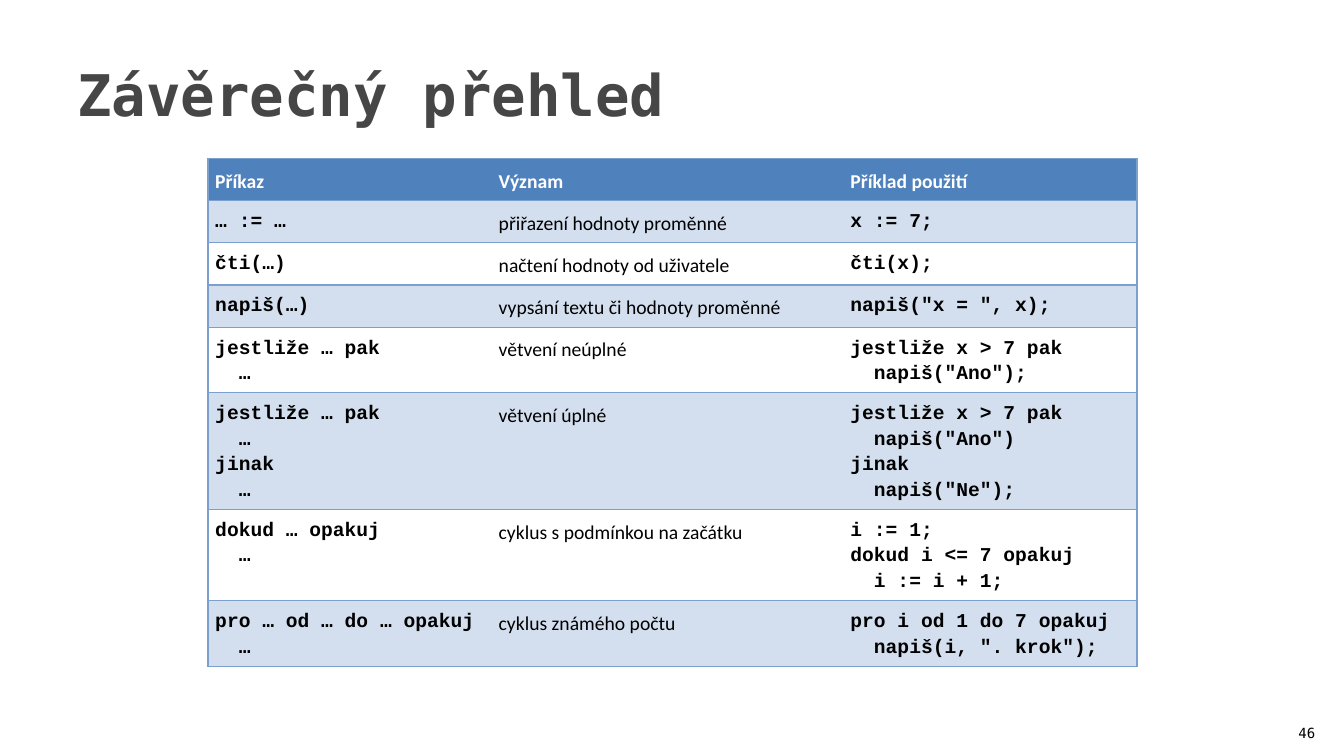
from pptx import Presentation
from pptx.dml.color import RGBColor
from pptx.enum.text import MSO_ANCHOR, PP_ALIGN
from pptx.oxml.ns import qn
from pptx.util import Pt
from lxml.etree import SubElement

PX = 9525  # EMU per px, 96 px to the inch
COLORS = {
    "title": "464646",
    "text": "000000",
    "header_text": "FFFFFF",
    "header_fill": "4F81BD",
    "band": "D3DFEE",
    "rule": "7BA0CD",
}
MONO, CODE, BODY = "DejaVu Sans Mono", "Courier New", "Calibri"

COLUMN_WIDTHS = [270, 335, 280]
CELL_MARGIN = 7
HEADER = ("Příkaz", "Význam", "Příklad použití")
# Row height, command, meaning, example
COMMANDS = [
    (40, "… := …", "přiřazení hodnoty proměnné", "x := 7;"),
    (40, "čti(…)", "načtení hodnoty od uživatele", "čti(x);"),
    (40, "napiš(…)", "vypsání textu či hodnoty proměnné", 'napiš("x = ", x);'),
    (62, "jestliže … pak\n  …", "větvení neúplné",
     'jestliže x > 7 pak\n  napiš("Ano");'),
    (110, "jestliže … pak\n  …\njinak\n  …", "větvení úplné",
     'jestliže x > 7 pak\n  napiš("Ano")\njinak\n  napiš("Ne");'),
    (86, "dokud … opakuj\n  …", "cyklus s\u00a0podmínkou na začátku",
     "i := 1;\ndokud i <= 7 opakuj\n  i := i + 1;"),
    (62, "pro … od … do … opakuj\n  …", "cyklus známého počtu",
     'pro i od 1 do 7 opakuj\n  napiš(i, ". krok");'),
]


def rgb(name):
    return RGBColor.from_string(COLORS[name])


def format_runs(paragraph, font_name, size, color, bold):
    for run in paragraph.runs:
        run.font.name = font_name
        run.font.size = Pt(size)
        run.font.bold = bold
        run.font.color.rgb = rgb(color)


def add_label(slide, box, text, size, color, bold, anchor, align):
    label = slide.shapes.add_textbox(*(n * PX for n in box))
    frame = label.text_frame
    frame.word_wrap = True
    frame.vertical_anchor = anchor
    frame.text = text
    frame.paragraphs[0].alignment = align
    format_runs(frame.paragraphs[0], MONO, size, color, bold)


def set_borders(cell, visible_sides):
    properties = cell._tc.get_or_add_tcPr()
    for side in "LRTB":
        line = SubElement(properties, qn(f"a:ln{side}"), w=str(Pt(1)))
        if side in visible_sides:
            fill = SubElement(line, qn("a:solidFill"))
            SubElement(fill, qn("a:srgbClr"), val=COLORS["rule"])
        else:
            SubElement(line, qn("a:noFill"))


def fill_cell(cell, text, font_name, color, bold, fill, sides):
    cell.margin_left = cell.margin_right = CELL_MARGIN * PX
    cell.margin_top = cell.margin_bottom = CELL_MARGIN * PX
    set_borders(cell, sides)
    if fill:
        cell.fill.solid()
        cell.fill.fore_color.rgb = rgb(fill)
    else:
        cell.fill.background()
    cell.text_frame.text = text
    for paragraph in cell.text_frame.paragraphs:
        paragraph.line_spacing = 1.15
        format_runs(paragraph, font_name, 14, color, bold)


def add_overview(slide, left, top):
    rows = [(40, *HEADER), *COMMANDS]
    height = sum(row[0] for row in rows)
    overview = slide.shapes.add_table(
        len(rows), len(COLUMN_WIDTHS), left * PX, top * PX,
        sum(COLUMN_WIDTHS) * PX, height * PX).table
    overview.first_row = overview.horz_banding = False
    for column, width in zip(overview.columns, COLUMN_WIDTHS):
        column.width = width * PX

    # Rules run along every row and around the outside only
    column_sides = ("LTB", "TB", "RTB")
    for r, (row_height, *texts) in enumerate(rows):
        overview.rows[r].height = row_height * PX
        for c, text in enumerate(texts):
            is_header = r == 0
            is_meaning = c == 1
            if is_header:
                fill = "header_fill"
            else:
                fill = "band" if r % 2 else None
            fill_cell(
                overview.cell(r, c), text,
                BODY if is_header or is_meaning else CODE,
                "header_text" if is_header else "text",
                is_header or not is_meaning, fill, column_sides[c])


def build_summary_slide(presentation):
    slide = presentation.slides.add_slide(presentation.slide_layouts[6])
    # Command table
    add_overview(slide, 198, 151)
    # Page number
    add_label(slide, (1211, 673, 51, 38), "46", 10, "text", False,
              MSO_ANCHOR.BOTTOM, PP_ALIGN.RIGHT)
    # Title
    add_label(slide, (64, 29, 1152, 120), "Závěrečný přehled", 41, "title", True,
              MSO_ANCHOR.MIDDLE, PP_ALIGN.LEFT)


def main():
    presentation = Presentation()
    presentation.slide_width = 1280 * PX
    presentation.slide_height = 720 * PX
    build_summary_slide(presentation)
    presentation.save("out.pptx")


if __name__ == "__main__":
    main()
